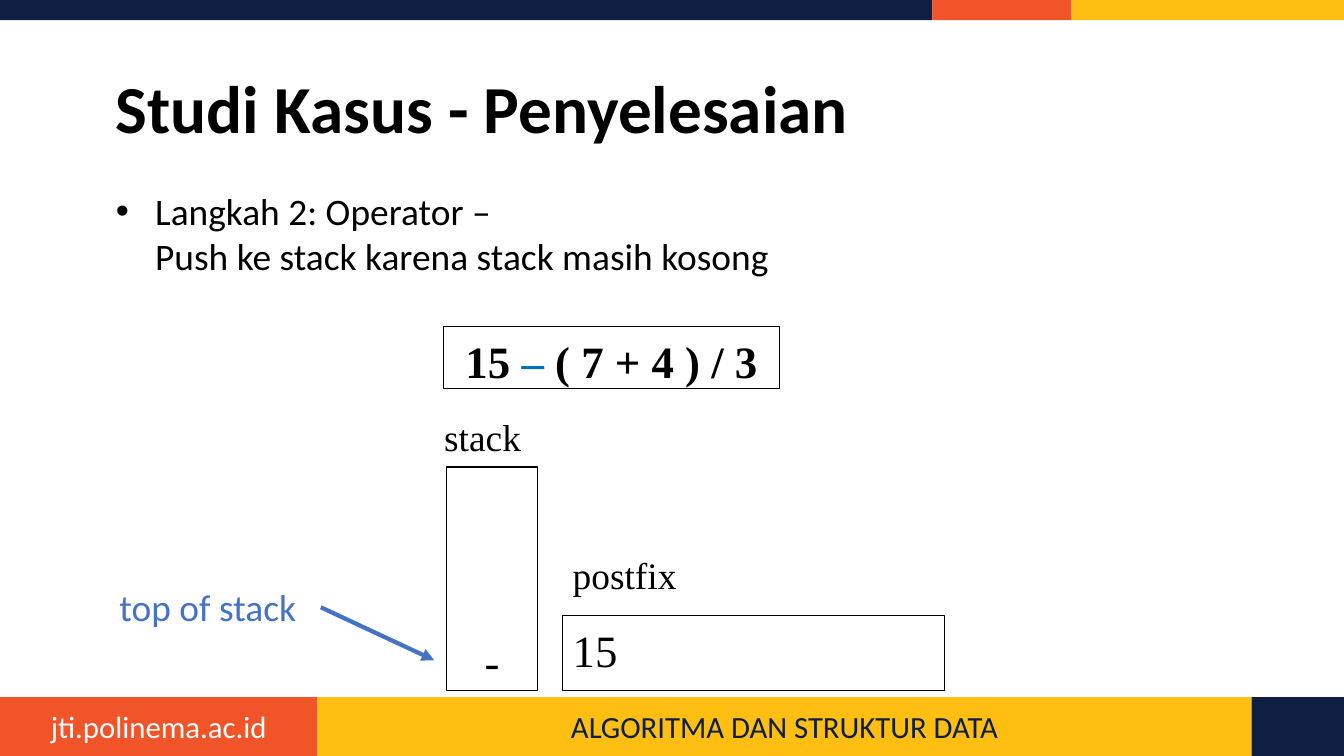
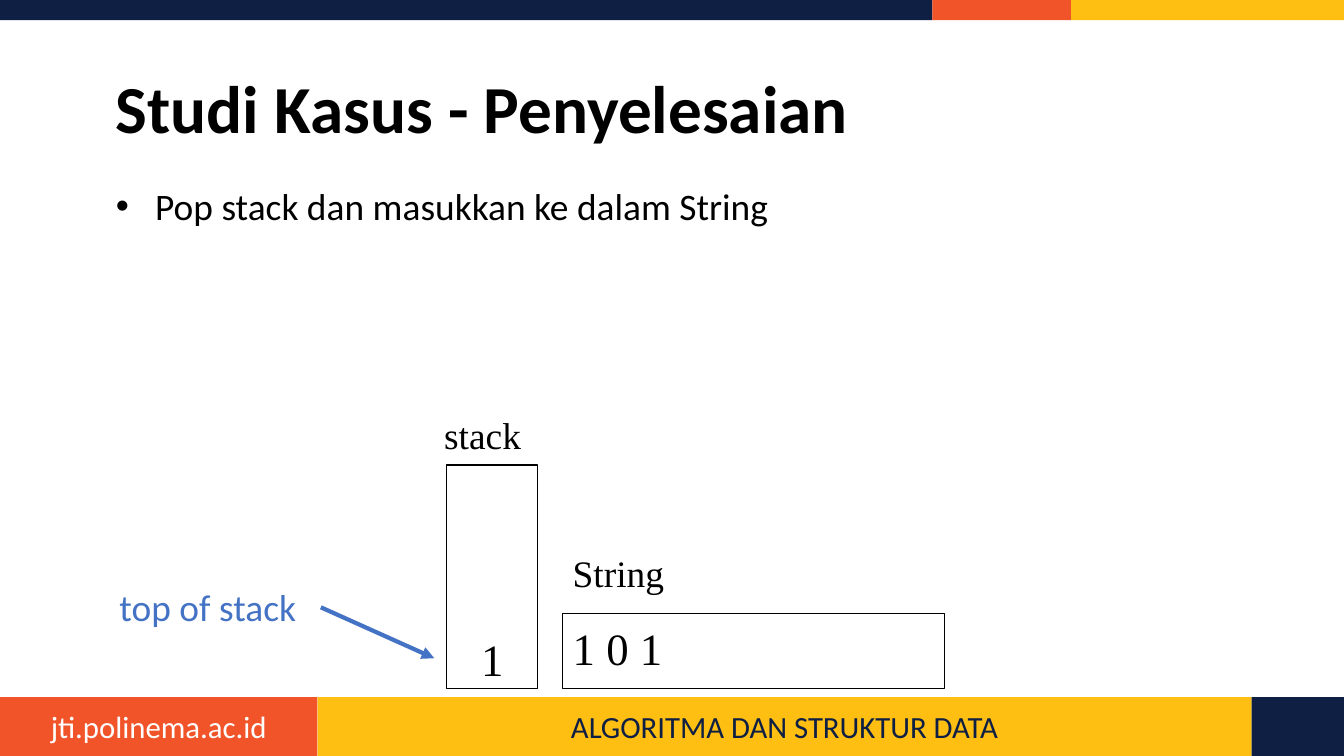
from dataclasses import dataclass

from lxml.etree import SubElement
from pptx import Presentation
from pptx.dml.color import RGBColor
from pptx.enum.shapes import MSO_CONNECTOR as Link, MSO_SHAPE as Preset
from pptx.enum.text import MSO_ANCHOR as Anchor, PP_ALIGN as Align
from pptx.oxml.ns import qn
from pptx.util import Inches, Pt

COLUMNS, ROWS, CELLS_PER_INCH = 160, 90, 12
BULLET_INDENT = 0.39


@dataclass(frozen=True)
class Theme:
    """Colours, fonts and type sizes shared by every slide."""
    navy: str = "0E1F43"
    orange: str = "F15429"
    yellow: str = "FEBF12"
    white: str = "FFFFFF"
    black: str = "000000"
    blue: str = "4472C4"
    operator: str = "0070C0"
    sans: str = "Calibri"
    serif: str = "Times New Roman"
    title: float = 48
    symbol: float = 32
    body: float = 26.7
    footer: float = 22
    outline: float = 0.75
    arrow: float = 3


THEME = Theme()


@dataclass(frozen=True)
class Box:
    """A region measured in grid columns and rows."""
    left: float
    top: float
    width: float
    height: float

    def inside(self, column, row, width, height):
        """Return a region offset from this one's top left corner."""
        return Box(self.left + column, self.top + row, width, height)

    def lengths(self):
        """Return the region as slide lengths."""
        return [cells(n) for n in (self.left, self.top, self.width, self.height)]


TOP_BAND = Box(0, 0, COLUMNS, 2.4)
FOOTER = Box(0, 83, COLUMNS, 7)
TITLE = Box(12.6, 7.8, 134.8, 10)
BODY = Box(12.6, 21.2, 134.8, 59.3)
POINTER = Box(11.3, 69, 26.9, 6.6)


def cells(count):
    """Turn grid cells into a slide length."""
    return Inches(count / CELLS_PER_INCH)


def rgb(colour):
    """Turn a hex string into a colour."""
    return RGBColor.from_string(colour)


def write(shape, text, *, size, font=THEME.sans, colour=THEME.black, bold=False,
          align=Align.LEFT, anchor=Anchor.TOP, inset=0.05, spacing=None,
          bullet=False, accent=None):
    """Write one paragraph, colouring the accent text apart from the rest."""
    frame = shape.text_frame
    frame.word_wrap = True
    frame.vertical_anchor = anchor
    frame.margin_left = frame.margin_right = Inches(0.1)
    frame.margin_top = frame.margin_bottom = Inches(inset)
    para = frame.paragraphs[0]
    para.alignment = align
    if spacing:
        para.line_spacing = spacing
    if bullet:
        props = para._p.get_or_add_pPr()
        props.set("marL", str(Inches(BULLET_INDENT)))
        props.set("indent", str(-Inches(BULLET_INDENT)))
        SubElement(props, qn("a:buFont"), typeface="Arial")
        SubElement(props, qn("a:buChar"), char="•")
    before, mark, after = text.partition(accent) if accent else (text, "", "")
    for part, tint in ((before, colour), (mark, THEME.operator), (after, colour)):
        for number, line in enumerate(part.split("\n")):
            if number:
                para.add_line_break()
            if line:
                span = para.add_run()
                span.text = line
                span.font.name, span.font.size = font, Pt(size)
                span.font.bold, span.font.color.rgb = bold, rgb(tint)


def add_text(page, box, text, **style):
    """Add a text box in the given region."""
    label = page.shapes.add_textbox(*box.lengths())
    write(label, text, **style)
    return label


def add_rect(page, box, fill, line=None):
    """Add a flat rectangle, outlined when a line colour is given."""
    rect = page.shapes.add_shape(Preset.RECTANGLE, *box.lengths())
    rect.shadow.inherit = False
    rect.fill.solid()
    rect.fill.fore_color.rgb = rgb(fill)
    if line:
        rect.line.color.rgb = rgb(line)
        rect.line.width = Pt(THEME.outline)
    else:
        rect.line.fill.background()
    return rect


def add_band(page, box, segments):
    """Fill a strip with coloured segments, each ending at its column."""
    start, rects = 0, []
    for end, fill in segments:
        rects.append(add_rect(page, box.inside(start, 0, end - start, box.height), fill))
        start = end
    return rects


def add_frame(page):
    """Add the top band and the footer."""
    add_band(page, TOP_BAND, [(111, THEME.navy), (127.5, THEME.orange),
                              (COLUMNS, THEME.yellow)])
    site, course, _ = add_band(page, FOOTER, [(37.8, THEME.orange), (149, THEME.yellow),
                                              (COLUMNS, THEME.navy)])
    style = dict(size=THEME.footer, align=Align.CENTER, anchor=Anchor.MIDDLE)
    write(site, "jti.polinema.ac.id", colour=THEME.white, **style)
    write(course, "ALGORITMA DAN STRUKTUR DATA", colour=THEME.navy, **style)


def add_diagram(page, box, expression, top_item, output_name, output):
    """Draw the stack, its output and, if given, the expression being read."""
    symbol = dict(size=THEME.symbol, font=THEME.serif)
    caption = dict(size=THEME.body, font=THEME.serif, inset=0.07)

    def cell(*place):
        return add_rect(page, box.inside(*place), THEME.white, THEME.black)

    write(cell(1.5, 16.7, 10.8, 26.6), top_item, align=Align.CENTER,
          anchor=Anchor.BOTTOM, inset=0.03, **symbol)
    if expression:
        write(cell(1.1, 0, 40, 7.4), expression, bold=True, accent="–",
              align=Align.CENTER, inset=0.07, **symbol)
    write(cell(15.3, 34.4, 45.4, 8.9), output, inset=0.07, **symbol)
    add_text(page, box.inside(0, 9.6, 13.6, 6.1), "stack", **caption)
    add_text(page, box.inside(15.3, 26, 18.2, 6.1), output_name, **caption)


def add_pointer(page, box, target):
    """Label the top of the stack with an arrow to the target diagram."""
    label = add_text(page, box, "top of stack", size=THEME.body,
                     colour=THEME.blue, align=Align.CENTER)
    arrow = page.shapes.add_connector(Link.STRAIGHT, 0, 0, cells(target.left),
                                      cells(target.top + 39.7))
    arrow.begin_connect(label, 3)
    arrow.line.color.rgb = rgb(THEME.blue)
    arrow.line.width = Pt(THEME.arrow)
    SubElement(arrow.line._get_or_add_ln(), qn("a:tailEnd"), type="triangle")
    SubElement(arrow._element.spPr, qn("a:effectLst"))


def add_step(deck, step, diagram_top, spacing=None, expression=None, **diagram):
    """Add a slide that explains one step of the case study."""
    page = deck.slides.add_slide(deck.slide_layouts[6])
    add_frame(page)
    add_text(page, TITLE, "Studi Kasus - Penyelesaian", size=THEME.title,
             bold=True, inset=0.1, spacing=0.9)
    add_text(page, BODY, step, size=THEME.body, inset=0.1, spacing=spacing, bullet=True)
    box = Box(51.7, diagram_top, 60.7, 43.3)
    add_diagram(page, box, expression, **diagram)
    add_pointer(page, POINTER, box)


def main():
    """Build and save the deck."""
    deck = Presentation()
    deck.slide_width, deck.slide_height = cells(COLUMNS), cells(ROWS)
    add_step(deck, "Langkah 2: Operator –\nPush ke stack karena stack masih kosong",
             38.9, expression="15 – ( 7 + 4 ) / 3", top_item="-",
             output_name="postfix", output="15")
    add_step(deck, "Pop stack dan masukkan ke dalam String", 38.66, spacing=0.9,
             top_item="1", output_name="String", output="1 0 1")
    deck.save("out.pptx")


if __name__ == "__main__":
    main()
